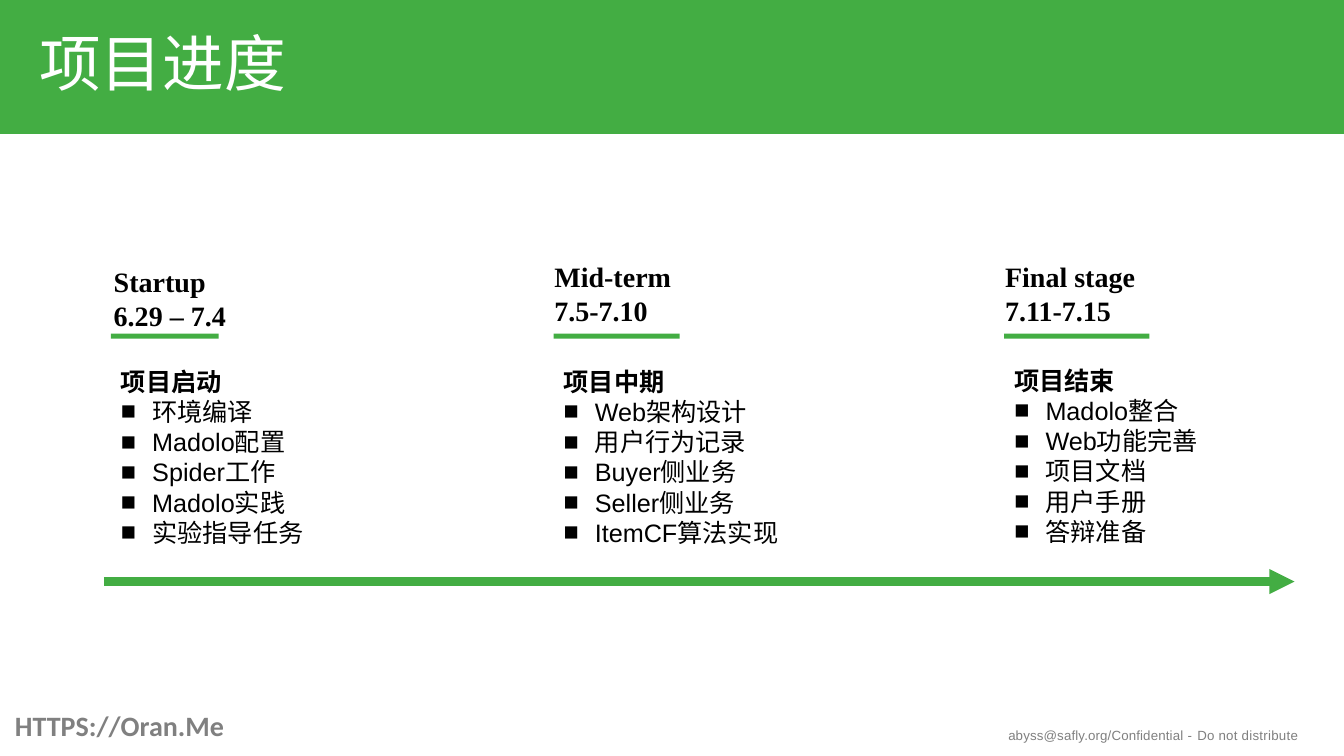
"""Builds the project progress slide with its three-stage timeline."""
from lxml.etree import SubElement as Sub
from pptx import Presentation
from pptx.dml.color import RGBColor
from pptx.enum.shapes import MSO_CONNECTOR as Conn, MSO_SHAPE as Kind
from pptx.enum.text import MSO_ANCHOR as Anchor, MSO_AUTO_SIZE as Fit, PP_ALIGN as Align
from pptx.oxml.ns import qn
from pptx.util import Inches, Pt

GREEN, GREY, BLACK, WHITE = "43AD43", "808080", "000000", "FFFFFF"


def paint(fill, hue):
    fill.solid()
    fill.fore_color.rgb = RGBColor.from_string(hue)


def write(par, text, face, size, hue, bold=False):
    run = par.add_run()
    run.text = text
    style = {"name": face, "size": Pt(size), "bold": bold}
    for key, val in style.items():
        setattr(run.font, key, val)
    paint(run.font.fill, hue)
    return run


deck = Presentation()
deck.slide_width, deck.slide_height = Inches(13.33), Inches(7.5)
slide = deck.slides.add_slide(deck.slide_layouts[4])
shapes = slide.shapes
title, *lists, spare = slide.placeholders
spare.element.getparent().remove(spare.element)

stages = [
    ("Startup", "6.29 – 7.4", 1.1, 1.07, 1.03, 2.58, 3.58, "项目启动",
     ["环境编译", "Madolo配置", "Spider工作", "Madolo实践", "实验指导任务"]),
    ("Mid-term", "7.5-7.10", 5.49, 1.25, 5.4, 2.53, 3.58, "项目中期",
     ["Web架构设计", "用户行为记录", "Buyer侧业务", "Seller侧业务", "ItemCF算法实现"]),
    ("Final stage", "7.11-7.15", 9.96, 1.44, 9.87, 2.53, 3.57, "项目结束",
     ["Madolo整合", "Web功能完善", "项目文档", "用户手册", "答辩准备"]),
]

bars = [(0, 0, 13.33, 1.33)] + [(s[2], 3.31, s[3], 0.05) for s in stages]
for spot in bars:
    bar = shapes.add_shape(Kind.RECTANGLE, *map(Inches, spot))
    bar.shadow.inherit = False
    paint(bar.fill, GREEN)
    bar.line.fill.background()
    if spot[1] == 0:
        title.element.addprevious(bar.element)

place = {"left": 0.29, "top": 0.15, "width": 3.27, "height": 1.03}
for key, val in place.items():
    setattr(title, key, Inches(val))
frame = title.text_frame
for key, val in {"auto_size": Fit.NONE, "vertical_anchor": Anchor.MIDDLE}.items():
    setattr(frame, key, val)
head = frame.paragraphs[0]
head.alignment, head.line_spacing = Align.LEFT, 0.9
write(head, "项目进度", "Calibri", 44, WHITE)

for body, (name, dates, left, _, edge, top, low, label, tasks) in zip(lists, stages):
    box = shapes.add_textbox(Inches(edge), Inches(top), Inches(1.73), Inches(0.77))
    box.text_frame.word_wrap = True
    write(box.text_frame.paragraphs[0], name, "Times New Roman", 20, BLACK, True)
    write(box.text_frame.add_paragraph(), dates, "Times New Roman", 20, BLACK, True)

    place = {"left": left, "top": low, "width": 2.9, "height": 1.92}
    for key, val in place.items():
        setattr(body, key, Inches(val))
    frame = body.text_frame
    for key, val in {"auto_size": Fit.NONE, "vertical_anchor": Anchor.TOP}.items():
        setattr(frame, key, val)
    for row, text in enumerate([label] + tasks):
        par = frame.add_paragraph() if row else frame.paragraphs[0]
        par.space_before = Pt(0)
        face = "Arial" if row else "Times New Roman"
        write(par, text, face, 18, BLACK, not row)
        props = par._p.get_or_add_pPr()
        dent = Inches(0.31) if row else 0
        for key, val in {"marL": dent, "indent": -dent}.items():
            props.set(key, str(val))
        if row:
            Sub(props, qn("a:buFont"), typeface="Arial")
            Sub(props, qn("a:buChar"), char="■")
        else:
            Sub(props, qn("a:buNone"))

arrow = shapes.add_connector(Conn.STRAIGHT, *map(Inches, (1.03, 5.77, 12.84, 5.77)))
arrow.line.width = Pt(6)
paint(arrow.line.fill, GREEN)
Sub(arrow.line._get_or_add_ln(), qn("a:tailEnd"), type="triangle")
Sub(arrow._element.spPr, qn("a:effectLst"))

site = shapes.add_textbox(Inches(0.05), Inches(6.98), Inches(2.42), Inches(0.44))
site.text_frame.word_wrap = True
write(site.text_frame.paragraphs[0], "HTTPS://Oran.Me", "Calibri", 20, GREY, True)

note = shapes.add_textbox(Inches(9.99), Inches(7.2), Inches(3.69), Inches(0.17))
frame = note.text_frame
inset = {"margin_left": 0.01, "margin_top": 0.01, "margin_right": 0, "margin_bottom": 0}
for key, val in inset.items():
    setattr(frame, key, Inches(val))
frame.word_wrap = True
foot = frame.paragraphs[0]
foot.space_before = Pt(0.8)
parts = [("abyss@safly.org/Confidential ", 10), ("- ", 60), ("Do ", 10), ("not distribute", 20)]
for text, gap in parts:
    run = write(foot, text, "Arial", 9.5, GREY)
    run._r.get_or_add_rPr().set("spc", str(gap))

deck.save("out.pptx")
